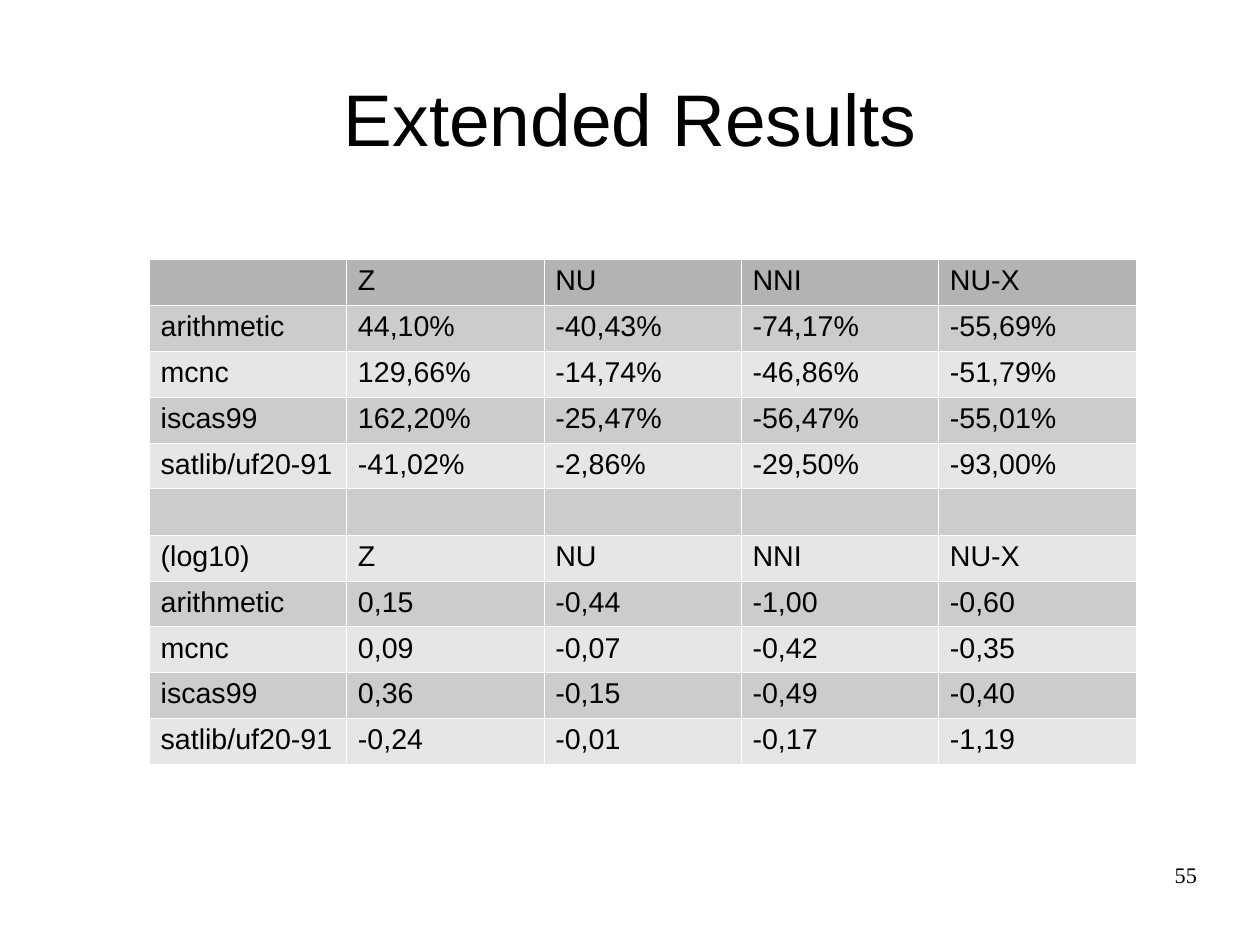
from lxml import etree
from pptx import Presentation
from pptx import util as u
from pptx.dml.color import RGBColor
from pptx.enum import text
from pptx.oxml.ns import qn

Pt = u.Pt
COLORS = {
    "text": "000000",
    "border": "FFFFFF",
    "header": "B3B3B3",
    "odd": "CCCCCC",
    "even": "E6E6E6",
}
NAMES = ["Z", "NU", "NNI", "NU-X"]
RESULTS = [
    ["", *NAMES],
    ["arithmetic", "44,10%", "-40,43%", "-74,17%", "-55,69%"],
    ["mcnc", "129,66%", "-14,74%", "-46,86%", "-51,79%"],
    ["iscas99", "162,20%", "-25,47%", "-56,47%", "-55,01%"],
    ["satlib/uf20-91", "-41,02%", "-2,86%", "-29,50%", "-93,00%"],
    [""] * 5,
    ["(log10)", *NAMES],
    ["arithmetic", "0,15", "-0,44", "-1,00", "-0,60"],
    ["mcnc", "0,09", "-0,07", "-0,42", "-0,35"],
    ["iscas99", "0,36", "-0,15", "-0,49", "-0,40"],
    ["satlib/uf20-91", "-0,24", "-0,01", "-0,17", "-1,19"],
]
COL_WIDTH = 124.25
ROW_HEIGHT = 28.85


def rgb(name):
    return RGBColor.from_string(COLORS[name])


def add_run(p, content, size, font="Arial"):
    r = p.add_run()
    r.text = content
    r.font.size = Pt(size)
    r.font.name = font
    r.font.color.rgb = rgb("text")


def format_frame(tf, anchor):
    tf.margin_left = tf.margin_right = tf.margin_top = tf.margin_bottom = 0
    tf.word_wrap = True
    tf.vertical_anchor = anchor


def add_title(s, content):
    sp = s.shapes.title
    sp.left, sp.top, sp.width, sp.height = Pt(39.6), Pt(23.8), Pt(714.2), Pt(99.4)
    format_frame(sp.text_frame, text.MSO_ANCHOR.MIDDLE)
    p = sp.text_frame.paragraphs[0]
    p.alignment = text.PP_ALIGN.CENTER
    add_run(p, content, 46)


def add_borders(cell):
    tcPr = cell._tc.get_or_add_tcPr()
    for i, side in enumerate(("a:lnL", "a:lnR", "a:lnT", "a:lnB")):
        ln = etree.Element(qn(side), w=str(Pt(0.06)))
        fill = etree.SubElement(ln, qn("a:solidFill"))
        etree.SubElement(fill, qn("a:srgbClr"), val=COLORS["border"])
        tcPr.insert(i, ln)


def fill_cell(cell, content, color):
    cell.margin_left = cell.margin_right = Pt(7.2)
    cell.margin_top = cell.margin_bottom = Pt(3.6)
    cell.fill.solid()
    cell.fill.fore_color.rgb = rgb(color)
    add_borders(cell)
    if content:
        add_run(cell.text_frame.paragraphs[0], content, 18)


def add_results(s, rows):
    n_rows, n_cols = len(rows), len(rows[0])
    table = s.shapes.add_table(n_rows, n_cols, Pt(94), Pt(163),
                               Pt(n_cols * COL_WIDTH), Pt(n_rows * ROW_HEIGHT)).table
    for col in table.columns:
        col.width = Pt(COL_WIDTH)
    for i, values in enumerate(rows):
        table.rows[i].height = Pt(ROW_HEIGHT)
        color = "header" if i == 0 else "odd" if i % 2 else "even"
        for j, value in enumerate(values):
            fill_cell(table.cell(i, j), value, color)


def add_page_number(s, number):
    sp = s.shapes.add_textbox(Pt(568.8), Pt(542.2), Pt(185), Pt(41))
    format_frame(sp.text_frame, text.MSO_ANCHOR.TOP)
    p = sp.text_frame.paragraphs[0]
    p.alignment = text.PP_ALIGN.RIGHT
    add_run(p, number, 14, "Times New Roman")


def main():
    prs = Presentation()
    prs.slide_width, prs.slide_height = Pt(793.44), Pt(595.44)
    s = prs.slides.add_slide(prs.slide_layouts[5])
    add_title(s, "Extended Results")
    add_results(s, RESULTS)
    add_page_number(s, "55")
    prs.save("out.pptx")


if __name__ == "__main__":
    main()
